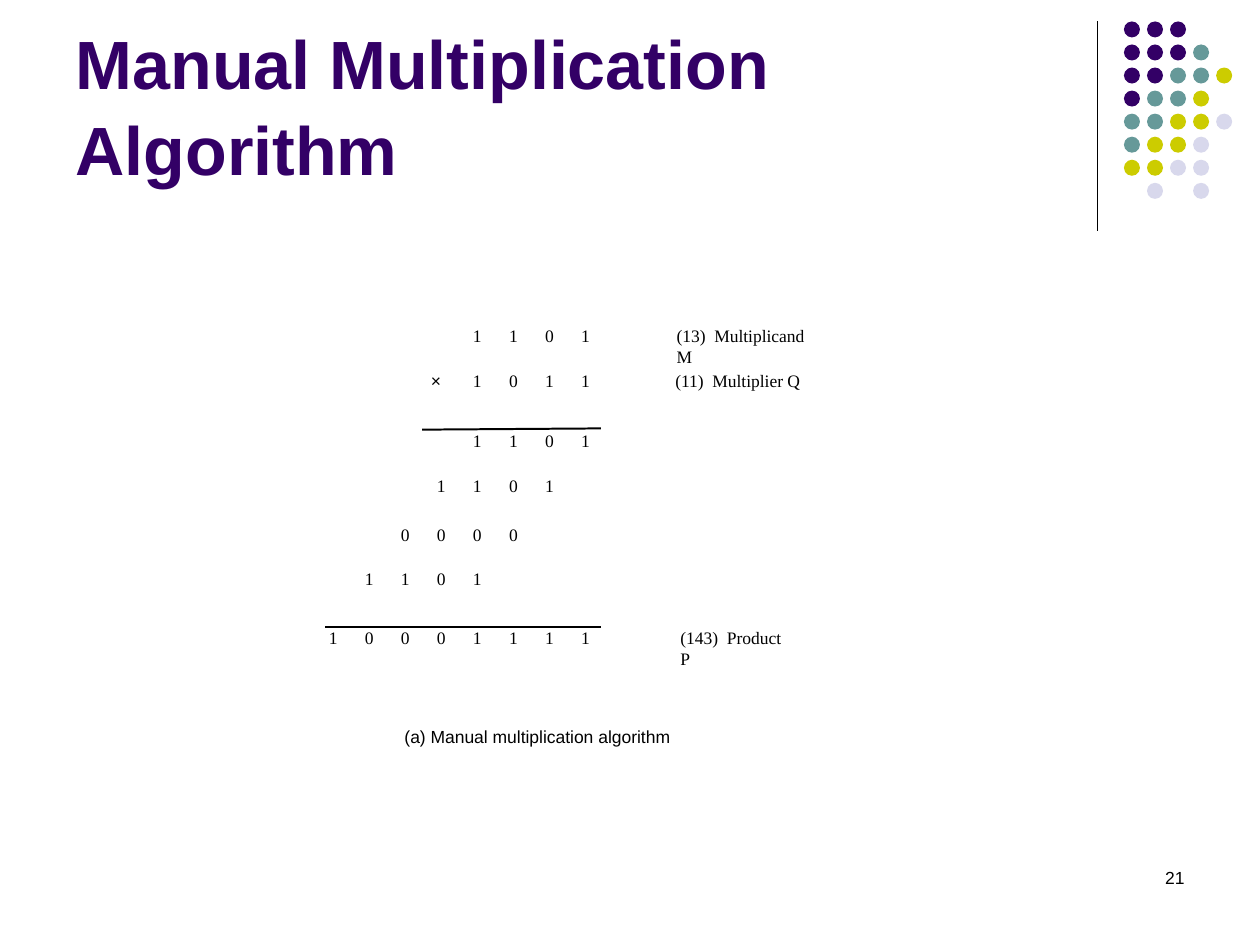
from dataclasses import dataclass

from lxml import etree
from pptx import Presentation
from pptx import util as u
from pptx.dml.color import RGBColor
from pptx.enum import shapes, text
from pptx.oxml.ns import qn


@dataclass(frozen=True)
class Theme:
    """Colours, typefaces and type sizes of the slide."""
    ink: str = "000000"
    purple: str = "330066"
    teal: str = "669999"
    olive: str = "CCCC00"
    lavender: str = "D8D8EC"
    sans: str = "Arial"
    serif: str = "Times New Roman"
    title_size: int = 39
    body_size: int = 10


class SlideBuilder:
    """Draws elements on a slide measured as 100 columns by 75 rows."""

    def __init__(self, deck, theme):
        self.theme = theme
        self.unit = deck.slide_width / 100
        self.slide = deck.slides.add_slide(deck.slide_layouts[5])

    def lengths(self, *cells):
        return [u.Emu(round(cell * self.unit)) for cell in cells]

    def set_words(self, frame, words, font, frame_format, paragraph_format):
        frame.text = words
        paragraph = frame.paragraphs[0]
        font = {"size": self.theme.body_size, "name": self.theme.sans,
                "color": self.theme.ink, **font}
        paragraph.font.color.rgb = RGBColor.from_string(font.pop("color"))
        font["size"] = u.Pt(font["size"])
        for target, values in ((frame, frame_format), (paragraph, paragraph_format),
                               (paragraph.font, font)):
            for key, value in values.items():
                setattr(target, key, value)

    def title(self, words, area):
        heading = self.slide.shapes.title
        for key, value in zip(("left", "top", "width", "height"), self.lengths(*area)):
            setattr(heading, key, value)
        self.set_words(heading.text_frame, words,
                       {"size": self.theme.title_size, "color": self.theme.purple,
                        "bold": True},
                       {"vertical_anchor": text.MSO_ANCHOR.BOTTOM, "word_wrap": True,
                        "auto_size": text.MSO_AUTO_SIZE.NONE},
                       {"alignment": text.PP_ALIGN.LEFT, "line_spacing": 1.05})

    def label(self, words, area, face=None, wrap=False):
        box = self.slide.shapes.add_textbox(*self.lengths(*area))
        margins = dict.fromkeys(
            ("margin_left", "margin_top", "margin_right", "margin_bottom"), 0)
        self.set_words(box.text_frame, words, {"name": face or self.theme.sans},
                       {**margins, "word_wrap": wrap,
                        "auto_size": text.MSO_AUTO_SIZE.SHAPE_TO_FIT_TEXT}, {})

    def page_number(self, number, area):
        box = self.slide.shapes.add_textbox(*self.lengths(*area))
        self.set_words(box.text_frame, number, {}, {"word_wrap": True},
                       {"alignment": text.PP_ALIGN.RIGHT})

    def rule(self, start, end, weight):
        line = self.slide.shapes.add_connector(
            shapes.MSO_CONNECTOR.STRAIGHT, *self.lengths(*start, *end))
        line.line.color.rgb = RGBColor.from_string(self.theme.ink)
        line.line.width = u.Pt(weight)
        etree.SubElement(line._element.spPr, qn("a:effectLst"))

    def dots(self, pattern, origin, pitch, size):
        palette = {"P": self.theme.purple, "T": self.theme.teal,
                   "O": self.theme.olive, "L": self.theme.lavender}
        for row, codes in enumerate(pattern):
            for column, code in enumerate(codes):
                if code in palette:
                    dot = self.slide.shapes.add_shape(
                        shapes.MSO_SHAPE.OVAL,
                        *self.lengths(origin[0] + column * pitch,
                                      origin[1] + row * pitch, size, size))
                    dot.shadow.inherit = False
                    dot.fill.solid()
                    dot.fill.fore_color.rgb = RGBColor.from_string(palette[code])
                    dot.line.fill.background()

    def digits(self, number, top, shift, first, pitch):
        places = 8
        start = places - shift - len(number)
        for place, digit in enumerate(number, start):
            self.label(digit, (first + place * pitch, top, 0.7, 1.7), self.theme.serif)


def main():
    deck = Presentation()
    deck.slide_width, deck.slide_height = u.Inches(10), u.Inches(7.5)
    theme = Theme()
    page = SlideBuilder(deck, theme)

    page.rule((87.1, 1.7), (87.1, 18.3), 0.75)
    page.dots(("PPP", "PPPT", "PPTTO", "PTTO", "TTOOL", "TOOL", "OOLL", ".L.L"),
              origin=(89.2, 1.7), pitch=1.83, size=1.27)
    page.title("Manual Multiplication Algorithm", (5, 1.3, 82.5, 14.2))

    working = (("1101", 25.8, 0), ("1011", 29.4, 0), ("1101", 34.1, 0),
               ("1101", 37.7, 1), ("0000", 41.6, 2), ("1101", 45.1, 3),
               ("10001111", 49.8, 0))
    for number, top, shift in working:
        page.digits(number, top, shift, first=26.1, pitch=2.86)
    page.label("×", (34.2, 29.4, 1.1, 1.7))

    meanings = (("(13)  Multiplicand M", 53.7, 25.8, 11.7),
                ("(11)  Multiplier Q", 53.6, 29.4, 10),
                ("(143)  Product P", 54, 49.8, 9.1))
    for meaning, left, top, width in meanings:
        page.label(meaning, (left, top, width, 1.7), theme.serif)

    page.rule((33.5, 34.1), (47.7, 34), 1.13)
    page.rule((25.8, 49.8), (47.7, 49.8), 1.13)
    page.label("(a) Manual multiplication algorithm", (32.1, 57.6, 32.9, 1.7), wrap=True)
    page.page_number("21", (71.7, 68.3, 23.3, 5))
    deck.save("out.pptx")


if __name__ == "__main__":
    main()
